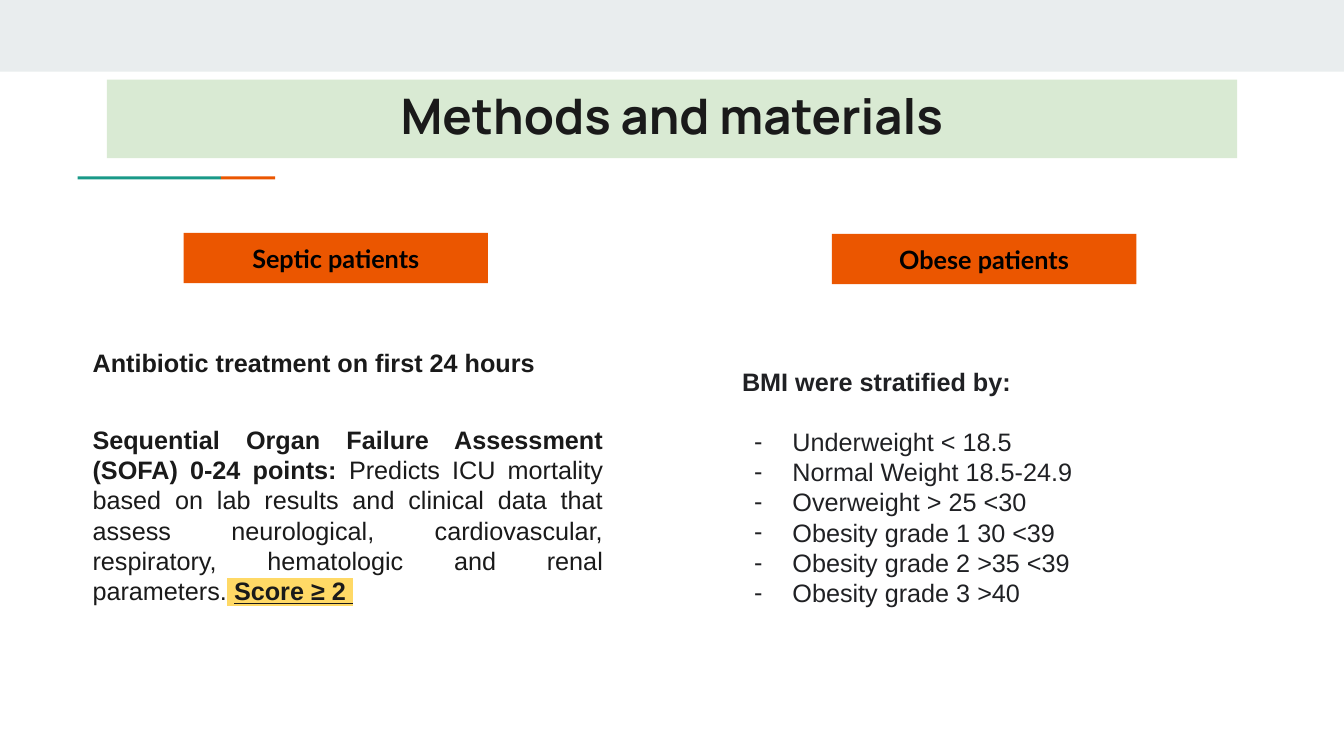
from lxml import etree
from pptx import Presentation
from pptx.dml.color import RGBColor
from pptx.enum.shapes import MSO_SHAPE
from pptx.enum.text import MSO_ANCHOR, MSO_AUTO_SIZE, PP_ALIGN
from pptx.oxml.ns import qn
from pptx.util import Inches, Pt

RECTANGLE = MSO_SHAPE.RECTANGLE
TOP, MIDDLE = MSO_ANCHOR.TOP, MSO_ANCHOR.MIDDLE
LEFT, CENTER, JUSTIFY = PP_ALIGN.LEFT, PP_ALIGN.CENTER, PP_ALIGN.JUSTIFY
NO_AUTOFIT = MSO_AUTO_SIZE.NONE

COLORS = {
    "band": "E9EDEE",
    "orange": "EB5600",
    "teal": "1A9988",
    "title_fill": "D9EAD3",
    "text": "1A1A1A",
    "list": "202124",
    "black": "000000",
    "highlight": "FFD966",
}


class SlideBuilder:
    text_size = 18
    body_font = "Arial"
    label_font = "Lato"
    title_font = "Manrope"

    def __init__(self, page):
        self.page = page

    def color(self, name):
        return RGBColor.from_string(COLORS[name])

    def place(self, shape, left, top, width, height):
        shape.left, shape.top = Inches(left), Inches(top)
        shape.width, shape.height = Inches(width), Inches(height)

    def frame(self, shape, anchor, inset=0.05):
        frame = shape.text_frame
        frame.word_wrap = True
        frame.auto_size = NO_AUTOFIT
        frame.vertical_anchor = anchor
        frame.margin_left = frame.margin_right = Inches(0.1)
        frame.margin_top = frame.margin_bottom = Inches(inset)
        return frame

    def style(self, span, color="text", bold=False, size=text_size, font=body_font):
        span.font.name = font
        span.font.size = Pt(size)
        span.font.bold = bold
        span.font.color.rgb = self.color(color)

    def highlight(self, span):
        properties = span.font._element
        mark = etree.Element(qn("a:highlight"))
        etree.SubElement(mark, qn("a:srgbClr"), val=COLORS["highlight"])
        properties.find(qn("a:latin")).addprevious(mark)

    def bullet(self, para, char=None, margin=0, indent=0):
        properties = para._p.get_or_add_pPr()
        properties.set("marL", str(Inches(margin)))
        properties.set("indent", str(Inches(indent)))
        if char:
            etree.SubElement(properties, qn("a:buChar"), char=char)
        else:
            etree.SubElement(properties, qn("a:buNone"))

    def title(self, text, *bounds):
        box = self.page.shapes.title
        self.place(box, *bounds)
        box.fill.solid()
        box.fill.fore_color.rgb = self.color("title_fill")
        frame = self.frame(box, MIDDLE)
        frame.text = text
        para = frame.paragraphs[0]
        para.alignment = CENTER
        para.line_spacing = 0.9
        self.style(para.runs[0], bold=True, size=35, font=self.title_font)

    def block(self, color, *bounds):
        box = self.page.shapes.add_shape(RECTANGLE, 0, 0, 0, 0)
        self.place(box, *bounds)
        box.shadow.inherit = False
        box.fill.solid()
        box.fill.fore_color.rgb = self.color(color)
        box.line.fill.background()
        return box

    def label(self, text, *bounds):
        frame = self.frame(self.block("orange", *bounds), MIDDLE, 0.1)
        frame.text = text
        para = frame.paragraphs[0]
        para.alignment = CENTER
        self.style(para.runs[0], "black", True, font=self.label_font)

    def text(self, spans, alignment, *bounds):
        box = self.page.shapes.add_textbox(0, 0, 0, 0)
        self.place(box, *bounds)
        para = self.frame(box, TOP).paragraphs[0]
        para.alignment = alignment
        for text, bold, marked in spans:
            span = para.add_run()
            span.text = text
            self.style(span, bold=bold)
            if marked:
                self.highlight(span)
                span.font.underline = bold

    def bullet_list(self, heading, items, *bounds):
        box = self.page.placeholders[1]
        self.place(box, *bounds)
        frame = self.frame(box, TOP)
        frame.text = "\n".join([heading, *items])
        for index, para in enumerate(frame.paragraphs):
            is_heading = index == 0
            para.alignment = LEFT
            para.space_before = Pt(0)
            para.space_after = Pt(21.5 if is_heading else 0)
            if is_heading:
                self.bullet(para)
            else:
                self.bullet(para, "-", 0.5, -0.38)
            self.style(para.runs[0], "list", is_heading)


def main():
    deck = Presentation()
    deck.slide_width, deck.slide_height = Inches(13.33), Inches(7.5)
    slide = SlideBuilder(deck.slides.add_slide(deck.slide_layouts[1]))

    slide.block("band", 0, 0, 13.33, 0.71)
    slide.block("teal", 0.77, 1.75, 1.42, 0.03)
    slide.block("orange", 2.19, 1.75, 0.54, 0.03)
    slide.title("Methods and materials", 1.06, 0.79, 11.21, 0.78)

    slide.label("Septic patients", 1.82, 2.31, 3.02, 0.5)
    slide.label("Obese patients", 8.25, 2.32, 3.02, 0.5)

    slide.text(
        [("Antibiotic treatment on first 24 hours", True, False)],
        LEFT, 0.82, 3.4, 5.02, 0.4,
    )
    slide.text(
        [
            ("Sequential Organ Failure Assessment (SOFA) 0-24 points: ", True, False),
            ("Predicts ICU mortality based on lab results and clinical data that "
             "assess neurological, cardiovascular, respiratory, hematologic and "
             "renal parameters.", False, False),
            (" ", False, True),
            ("Score ≥ 2 ", True, True),
        ],
        JUSTIFY, 0.82, 4.16, 5.26, 1.92,
    )
    slide.bullet_list(
        "BMI were stratified by:",
        [
            "Underweight < 18.5",
            "Normal Weight 18.5-24.9",
            "Overweight > 25 <30",
            "Obesity grade 1 30 <39",
            "Obesity grade 2 >35 <39",
            "Obesity grade 3 >40",
        ],
        7.26, 3.58, 5.02, 2.83,
    )
    deck.save("out.pptx")


if __name__ == "__main__":
    main()
